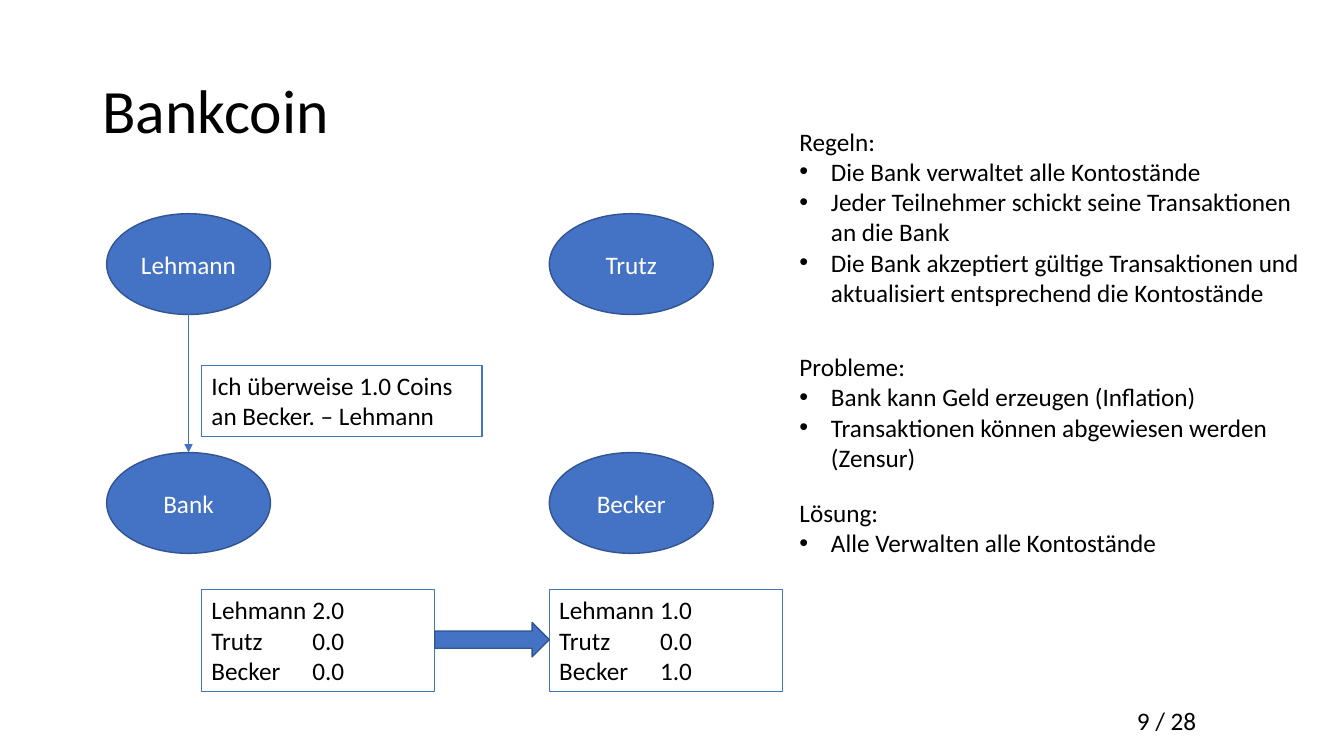
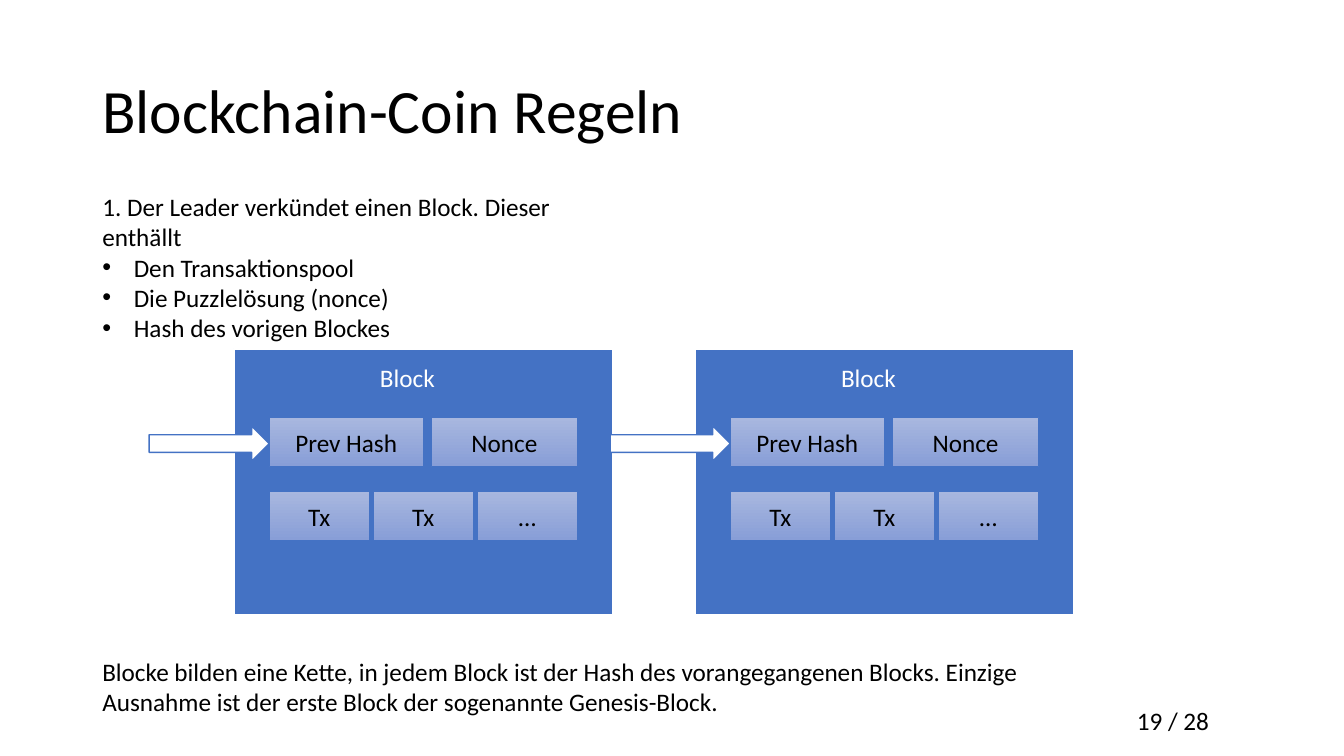
from dataclasses import dataclass

from lxml.etree import SubElement
from pptx import Presentation
from pptx.dml.color import RGBColor
from pptx.enum.shapes import MSO_CONNECTOR, MSO_SHAPE
from pptx.enum.text import MSO_ANCHOR, PP_ALIGN
from pptx.oxml.ns import qn
from pptx.util import Inches, Pt


@dataclass(frozen=True)
class Theme:
    font: str = "Calibri"
    title_size: float = 44
    body_size: float = 18
    black: str = "000000"
    white: str = "FFFFFF"
    blue: str = "4472C4"
    dark_blue: str = "325491"
    cell_gradient: tuple = ("A8B7DF", "889ED7")
    hairline: float = 0.5
    thin: float = 1
    thick: float = 1.5


# The grid has 160 columns and 90 rows of equal size
COLUMNS, ROWS = 160, 90
UNIT = Inches(7.5) / ROWS
MARGIN = 11
TEXT_WIDTH = 62.04
INDENT = 3.75
PAGE_COUNT = 28


def grid(*lengths):
    return [round(length * UNIT) for length in lengths]


class Sketch:
    """Draws the elements of the deck on the current slide."""

    def __init__(self, theme):
        self.theme = theme
        self.deck = Presentation()
        self.deck.slide_width, self.deck.slide_height = grid(COLUMNS, ROWS)
        self.page = None

    def new_page(self, title, number):
        self.page = self.deck.slides.add_slide(self.deck.slide_layouts[6])
        self.text(134.16, 83.4, 15, 4.8, [f"{number} / {PAGE_COUNT}"])
        heading = self.text(MARGIN, 4.8, 138, 17.4, [title], size=self.theme.title_size)
        heading.text_frame.vertical_anchor = MSO_ANCHOR.MIDDLE
        heading.text_frame.paragraphs[0].line_spacing = 0.9

    def fill_text(self, box, lines, bullets=(), color=None, size=None, align=PP_ALIGN.LEFT):
        frame = box.text_frame
        frame.word_wrap = True
        for index, line in enumerate([*lines, *bullets]):
            para = frame.paragraphs[0] if index == 0 else frame.add_paragraph()
            para.text = line
            para.alignment = align
            if index >= len(lines):
                self.bullet(para)
            para.font.name = self.theme.font
            para.font.size = Pt(size or self.theme.body_size)
            para.font.color.rgb = RGBColor.from_string(color or self.theme.black)

    def bullet(self, para):
        properties = para._p.get_or_add_pPr()
        indent, = grid(INDENT)
        properties.set("marL", str(indent))
        properties.set("indent", str(-indent))
        SubElement(properties, qn("a:buFont"), typeface="Arial")
        SubElement(properties, qn("a:buChar"), char="•")

    def text(self, left, top, width, height, lines, **style):
        box = self.page.shapes.add_textbox(*grid(left, top, width, height))
        self.fill_text(box, lines, **style)
        return box

    def shape(self, kind, left, top, width, height, fill, line, weight):
        box = self.page.shapes.add_shape(kind, *grid(left, top, width, height))
        box.shadow.inherit = False
        if isinstance(fill, tuple):
            box.fill.gradient()
            box.fill.gradient_angle = 270
            for stop, color in zip(box.fill.gradient_stops, fill):
                stop.color.rgb = RGBColor.from_string(color)
        else:
            box.fill.solid()
            box.fill.fore_color.rgb = RGBColor.from_string(fill)
        box.line.color.rgb = RGBColor.from_string(line)
        box.line.width = Pt(weight)
        return box

    def person(self, left, top, name):
        look = self.theme
        oval = self.shape(MSO_SHAPE.OVAL, left, top, 19.5, 12,
                          look.blue, look.dark_blue, look.thin)
        self.fill_text(oval, [name], color=look.white, align=PP_ALIGN.CENTER)

    def note(self, left, top, width, height, lines):
        look = self.theme
        box = self.shape(MSO_SHAPE.RECTANGLE, left, top, width, height,
                         look.white, look.blue, look.thin)
        box.text_frame.vertical_anchor = MSO_ANCHOR.TOP
        self.fill_text(box, lines)

    def block_arrow(self, left, top, width, height, fill, line):
        self.shape(MSO_SHAPE.RIGHT_ARROW, left, top, width, height,
                   fill, line, self.theme.thin)

    def thin_arrow(self, left, top, right, bottom):
        arrow = self.page.shapes.add_connector(
            MSO_CONNECTOR.STRAIGHT, *grid(left, top, right, bottom))
        arrow.line.color.rgb = RGBColor.from_string(self.theme.blue)
        arrow.line.width = Pt(self.theme.hairline)
        properties = arrow.element.spPr
        SubElement(properties.find(qn("a:ln")), qn("a:tailEnd"), type="triangle")
        SubElement(properties, qn("a:effectLst"))

    def cell(self, left, top, width, label):
        look = self.theme
        box = self.shape(MSO_SHAPE.RECTANGLE, left, top, width, 5.85,
                         look.cell_gradient, look.blue, look.hairline)
        self.fill_text(box, [label], align=PP_ALIGN.CENTER)

    def chain_block(self, left, top):
        look = self.theme
        self.shape(MSO_SHAPE.RECTANGLE, left, top, 45.1, 31.7,
                   look.blue, look.white, look.thick)
        self.text(left + 16.2, top + 1.1, 23.5, 4.8, ["Block"], color=look.white)
        inner = left + 4.2
        self.cell(inner, top + 8.2, 18.35, "Prev Hash")
        self.cell(inner + 19.3, top + 8.2, 17.4, "Nonce")
        for index, label in enumerate(["Tx", "Tx", "…"]):
            self.cell(inner + index * 12.38, top + 17, 11.9, label)
        self.block_arrow(inner - 14.3, top + 9.2, 14.3, 4.2, look.white, look.blue)


def bankcoin(sketch):
    sketch.new_page("Bankcoin", 9)
    look = sketch.theme
    left, right = 12.7, 65.4
    upper, lower = 25.44, 53.88

    # Participants
    for x, y, name in [(left, upper, "Lehmann"), (right, upper, "Trutz"),
                       (right, lower, "Becker"), (left, lower, "Bank")]:
        sketch.person(x, y, name)

    # Transfer message
    sketch.thin_arrow(left + 9.75, upper + 12, left + 9.75, lower)
    sketch.note(24, 43.5, 33.4, 8.5, ["Ich überweise 1.0 Coins an Becker. – Lehmann"])

    # Account balances before and after
    names = ["Lehmann", "Trutz", "Becker"]
    for x, balances in [(24, ["2.0", "0.0", "0.0"]), (right, ["1.0", "0.0", "1.0"])]:
        rows = [f"{name}\t{balance}" for name, balance in zip(names, balances)]
        sketch.note(x, 70.2, 27.75, 12.1, rows)
    sketch.block_arrow(51.75, 74.1, right - 51.75, 4.1, look.blue, look.dark_blue)

    # Rules, problems and solution
    topics = [
        (14.4, 23, "Regeln:", [
            "Die Bank verwaltet alle Kontostände",
            "Jeder Teilnehmer schickt seine Transaktionen an die Bank",
            "Die Bank akzeptiert gültige Transaktionen und "
            "aktualisiert entsprechend die Kontostände"]),
        (41.25, 15.7, "Probleme:", [
            "Bank kann Geld erzeugen (Inflation)",
            "Transaktionen können abgewiesen werden (Zensur)"]),
        (58.6, 8.5, "Lösung:", ["Alle Verwalten alle Kontostände"]),
    ]
    for top, height, heading, points in topics:
        sketch.text(94, top, TEXT_WIDTH, height, [heading], bullets=points)


def blockchain_rules(sketch):
    sketch.new_page("Blockchain-Coin Regeln", 19)

    # Contents of a block
    sketch.text(MARGIN, 22.2, TEXT_WIDTH, 19.4,
                ["1. Der Leader verkündet einen Block. Dieser enthällt"],
                bullets=["Den Transaktionspool", "Die Puzzlelösung (nonce)",
                         "Hash des vorigen Blockes"])

    # Chain of blocks
    for index in range(2):
        sketch.chain_block(27.85 + index * 54.9, 41.5)

    # Explanation
    sketch.text(MARGIN, 77.5, 116.9, 8.5, [
        "Blocke bilden eine Kette, in jedem Block ist der Hash des vorangegangenen "
        "Blocks. Einzige Ausnahme ist der erste Block der sogenannte Genesis-Block."])


def main():
    sketch = Sketch(Theme())
    bankcoin(sketch)
    blockchain_rules(sketch)
    sketch.deck.save("out.pptx")


if __name__ == "__main__":
    main()
